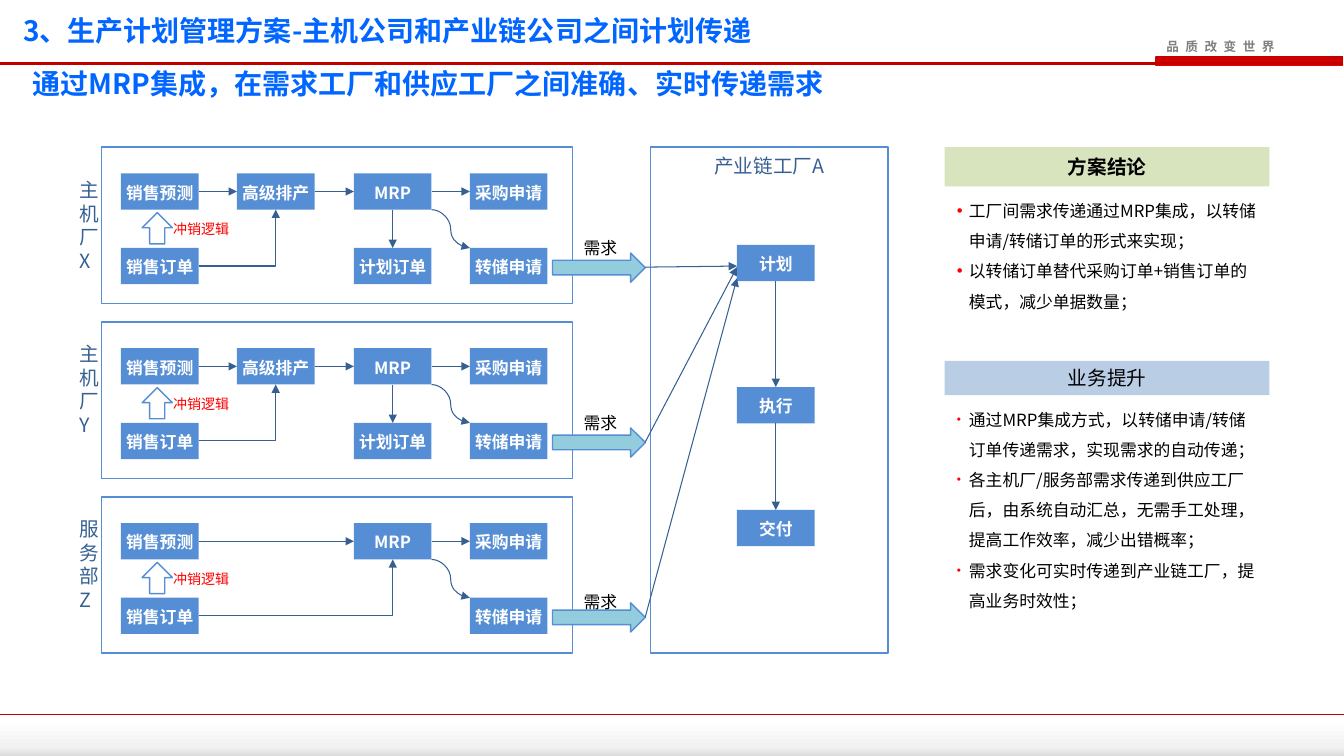
from dataclasses import dataclass

from lxml import etree
from pptx import Presentation
from pptx.dml.color import RGBColor
from pptx.enum.shapes import MSO_CONNECTOR, MSO_SHAPE
from pptx.enum.text import MSO_ANCHOR, PP_ALIGN
from pptx.oxml.ns import qn
from pptx.util import Inches, Pt

RECTANGLE, UP_ARROW, RIGHT_ARROW = MSO_SHAPE.RECTANGLE, MSO_SHAPE.UP_ARROW, MSO_SHAPE.RIGHT_ARROW
STRAIGHT, ELBOW, CURVE = MSO_CONNECTOR.STRAIGHT, MSO_CONNECTOR.ELBOW, MSO_CONNECTOR.CURVE
TOP, MIDDLE = MSO_ANCHOR.TOP, MSO_ANCHOR.MIDDLE
LEFT, CENTER = PP_ALIGN.LEFT, PP_ALIGN.CENTER

FONT = "Noto Sans CJK SC"
COLORS = {
    "white": "FFFFFF", "black": "000000", "title": "0066FF", "node": "558ED5",
    "link": "376092", "red": "FF0000", "rule": "C00000", "bright": "EE0000",
    "slogan": "808080", "demand": "93CDDD", "green": "D7E4BD", "blue": "B9CDE5",
    "mist": "F2F2F2", "grey": "DCDCDC",
}
NODE_WIDTH, NODE_HEIGHT = 0.77, 0.36
FORECAST_X, SCHEDULE_X, MRP_X, REQUEST_X = 1.2, 2.35, 3.51, 4.66
UPPER, LOWER = 0.26, 1.0
LANE_TOP, LANE_PITCH, LANE_HEIGHT = 1.46, 3.47 / 2, 1.55
PANEL_X, PANEL_WIDTH = 9.37, 3.22
DEMAND_TIP_X, PLAN_X, PLAN_Y = 6.4, 7.31, 2.43


@dataclass
class Lane:
    name: str
    name_offset: float
    demand_offset: float
    plan_entry: float
    scheduled: bool


@dataclass
class Panel:
    heading: str
    fill: str
    bold: bool
    top: float
    heading_height: float
    body_height: float
    bullet_size: int
    points: list[str]


LANES = [
    Lane("主机厂X", 0.26, 0.85, 2.64, True),
    Lane("主机厂Y", 0.15, 0.85, 2.65, True),
    Lane("服务部Z", 0.15, 0.89, 2.76, False),
]
SUPPLY_STEPS = [("计划", PLAN_Y), ("执行", 3.84), ("交付", 5.06)]
PANELS = [
    Panel("方案结论", "green", True, 1.46, 0.39, 1.43, 100, [
        "工厂间需求传递通过MRP集成，以转储申请/转储订单的形式来实现；",
        "以转储订单替代采购订单+销售订单的模式，减少单据数量；",
    ]),
    Panel("业务提升", "blue", False, 3.58, 0.34, 2.52, 70, [
        "通过MRP集成方式，以转储申请/转储订单传递需求，实现需求的自动传递；",
        "各主机厂/服务部需求传递到供应工厂后，由系统自动汇总，无需手工处理，提高工作效率，减少出错概率；",
        "需求变化可实时传递到产业链工厂，提高业务时效性；",
    ]),
]

deck = Presentation()
deck.slide_width, deck.slide_height = Inches(13.33), Inches(7.5)
page = deck.slides.add_slide(deck.slide_layouts[6])


def color(name: str) -> RGBColor:
    return RGBColor.from_string(COLORS[name])


def write(box, lines: list[str], size: float, tint: str, bold: bool = False,
          align=LEFT, anchor=TOP, inset: tuple = (0.1, 0.05), spacing=None,
          wrap: bool = True, bullet_size: int = 0, tracking: int = 0) -> None:
    frame = box.text_frame
    frame.text = "\n".join(lines)
    frame.word_wrap = wrap
    frame.vertical_anchor = anchor
    frame.margin_left = frame.margin_right = Inches(inset[0])
    frame.margin_top = frame.margin_bottom = Inches(inset[1])
    for para in frame.paragraphs:
        para.alignment = align
        if spacing:
            para.line_spacing = spacing
        if bullet_size:
            add_bullet(para, bullet_size)
        for span in para.runs:
            span.font.size = Pt(size)
            span.font.bold = bold
            span.font.color.rgb = color(tint)
            span.font.name = FONT
            properties = span.font._element
            etree.SubElement(properties, qn("a:ea")).set("typeface", FONT)
            if tracking:
                properties.set("spc", str(tracking))


def add_bullet(para, size: int) -> None:
    properties = para._p.get_or_add_pPr()
    properties.set("marL", str(Inches(0.12)))
    properties.set("indent", str(-Inches(0.12)))
    tint = etree.SubElement(properties, qn("a:buClr"))
    etree.SubElement(tint, qn("a:srgbClr")).set("val", COLORS["red"])
    etree.SubElement(properties, qn("a:buSzPct")).set("val", str(size * 1000))
    etree.SubElement(properties, qn("a:buFont")).set("typeface", "Arial")
    etree.SubElement(properties, qn("a:buChar")).set("char", "•")


def add_block(kind, x: float, y: float, width: float, height: float,
              fill: str = "white", line: str = ""):
    block = page.shapes.add_shape(kind, Inches(x), Inches(y), Inches(width), Inches(height))
    block.shadow.inherit = False
    block.fill.solid()
    block.fill.fore_color.rgb = color(fill)
    if line:
        block.line.color.rgb = color(line)
        block.line.width = Pt(1)
    else:
        block.line.fill.background()
    return block


def add_gradient(x: float, y: float, width: float, height: float, stops: list[tuple]) -> None:
    band = add_block(RECTANGLE, x, y, width, height)
    band.fill.gradient()
    band.fill.gradient_angle = 270
    stop_list = band._element.spPr.find(".//" + qn("a:gsLst"))
    for old_stop in list(stop_list):
        stop_list.remove(old_stop)
    for percent, tint in stops:
        stop = etree.SubElement(stop_list, qn("a:gs"), pos=str(percent * 1000))
        etree.SubElement(stop, qn("a:srgbClr")).set("val", COLORS[tint])


def add_label(x: float, y: float, width: float, height: float, text: str,
              size: float, tint: str, **style) -> None:
    box = page.shapes.add_textbox(Inches(x), Inches(y), Inches(width), Inches(height))
    write(box, [text], size, tint, **style)


def add_node(x: float, y: float, text: str) -> None:
    node = add_block(RECTANGLE, x, y, NODE_WIDTH, NODE_HEIGHT, "node")
    write(node, [text], 12, "white", True, CENTER, MIDDLE, (0.04, 0.04), 1.1)


def add_link(start: tuple, end: tuple, kind=STRAIGHT, tint: str = "link",
             width: float = 0.75, arrow: bool = True) -> None:
    link = page.shapes.add_connector(kind, *(Inches(value) for value in start + end))
    link.line.color.rgb = color(tint)
    link.line.width = Pt(width)
    properties = link._element.spPr
    if kind == ELBOW:
        properties.find(qn("a:prstGeom")).set("prst", "bentConnector2")
    if arrow:
        etree.SubElement(link.line._get_or_add_ln(), qn("a:tailEnd")).set("type", "triangle")
    etree.SubElement(properties, qn("a:effectLst"))


def draw_lane(lane: Lane, top: float) -> None:
    add_block(RECTANGLE, 1.01, top, 4.67, LANE_HEIGHT, line="node")
    upper, lower = top + UPPER, top + LOWER
    upper_middle, lower_middle = upper + NODE_HEIGHT / 2, lower + NODE_HEIGHT / 2
    upper_bottom = upper + NODE_HEIGHT
    nodes = [(FORECAST_X, upper, "销售预测"), (FORECAST_X, lower, "销售订单"),
             (MRP_X, upper, "MRP"), (REQUEST_X, upper, "采购申请"), (REQUEST_X, lower, "转储申请")]
    chain = [FORECAST_X, MRP_X, REQUEST_X]
    if lane.scheduled:
        nodes += [(SCHEDULE_X, upper, "高级排产"), (MRP_X, lower, "计划订单")]
        chain.insert(1, SCHEDULE_X)
        mrp_center = MRP_X + NODE_WIDTH / 2
        add_link((mrp_center, upper_bottom), (mrp_center, lower))
    for x, y, text in nodes:
        add_node(x, y, text)
    for source, target in zip(chain, chain[1:]):
        add_link((source + NODE_WIDTH, upper_middle), (target, upper_middle))
    add_link((FORECAST_X + NODE_WIDTH, lower_middle), (chain[1] + NODE_WIDTH / 2, upper_bottom), ELBOW)
    add_link((MRP_X + NODE_WIDTH, upper_bottom), (REQUEST_X, lower), CURVE)
    add_block(UP_ARROW, 1.41, top + 0.65, 0.3, 0.31, line="node")
    add_label(1.62, top + 0.68, 0.76, 0.27, "冲销逻辑", 10, "red", wrap=False)
    add_label(0.69, top + lane.name_offset, 0.28, 1.04, lane.name, 14, "link", align=CENTER)


def draw_demand(lane: Lane, top: float) -> None:
    add_block(RIGHT_ARROW, 5.48, top + 1.05, 0.92, 0.29, "demand", "node")
    add_label(5.69, top + lane.demand_offset, 0.54, 0.3, "需求", 12, "black", wrap=False)
    add_link((DEMAND_TIP_X, top + 1.19), (PLAN_X, lane.plan_entry))


def draw_panel(panel: Panel) -> None:
    heading = add_block(RECTANGLE, PANEL_X, panel.top, PANEL_WIDTH, panel.heading_height, panel.fill)
    write(heading, [panel.heading], 14, "black", panel.bold, CENTER, MIDDLE)
    body_top = panel.top + panel.heading_height + 0.04
    body = add_block(RECTANGLE, PANEL_X, body_top, PANEL_WIDTH, panel.body_height)
    write(body, panel.points, 12, "black", inset=(0.12, 0), spacing=1.5, bullet_size=panel.bullet_size)


add_gradient(0, 7.14, 13.33, 0.36, [(0, "white"), (75, "mist"), (100, "grey")])
add_link((0, 7.09), (13.33, 7.09), tint="rule", width=1, arrow=False)
add_gradient(11.46, 0.56, 1.86, 0.09, [(0, "rule"), (100, "bright")])
add_label(11.47, 0.34, 1.36, 0.25, "品 质 改 变 世 界", 9, "slogan", bold=True, wrap=False, tracking=130)
add_link((0, 0.63), (13.32, 0.63), tint="rule", width=1.5, arrow=False)
add_label(0.13, 0.06, 9.48, 0.47, "3、生产计划管理方案-主机公司和产业链公司之间计划传递", 20, "title",
          bold=True, anchor=MIDDLE, spacing=Pt(25))
add_label(0.24, 0.65, 12.86, 0.4, "通过MRP集成，在需求工厂和供应工厂之间准确、实时传递需求", 20, "title",
          bold=True, inset=(0.08, 0.05), spacing=0.9)

lane_tops = [LANE_TOP + index * LANE_PITCH for index in range(len(LANES))]
for lane, top in zip(LANES, lane_tops):
    draw_lane(lane, top)

supplier = add_block(RECTANGLE, 6.45, LANE_TOP, 2.36, 5.02, line="node")
write(supplier, ["产业链工厂A"], 14, "link", align=CENTER, inset=(0.04, 0.04), spacing=1.1)
for text, y in SUPPLY_STEPS:
    add_node(PLAN_X, y, text)
step_center = PLAN_X + NODE_WIDTH / 2
for (_, source_y), (_, target_y) in zip(SUPPLY_STEPS, SUPPLY_STEPS[1:]):
    add_link((step_center, source_y + NODE_HEIGHT), (step_center, target_y))
for lane, top in zip(LANES, lane_tops):
    draw_demand(lane, top)
for panel in PANELS:
    draw_panel(panel)

deck.save("out.pptx")
